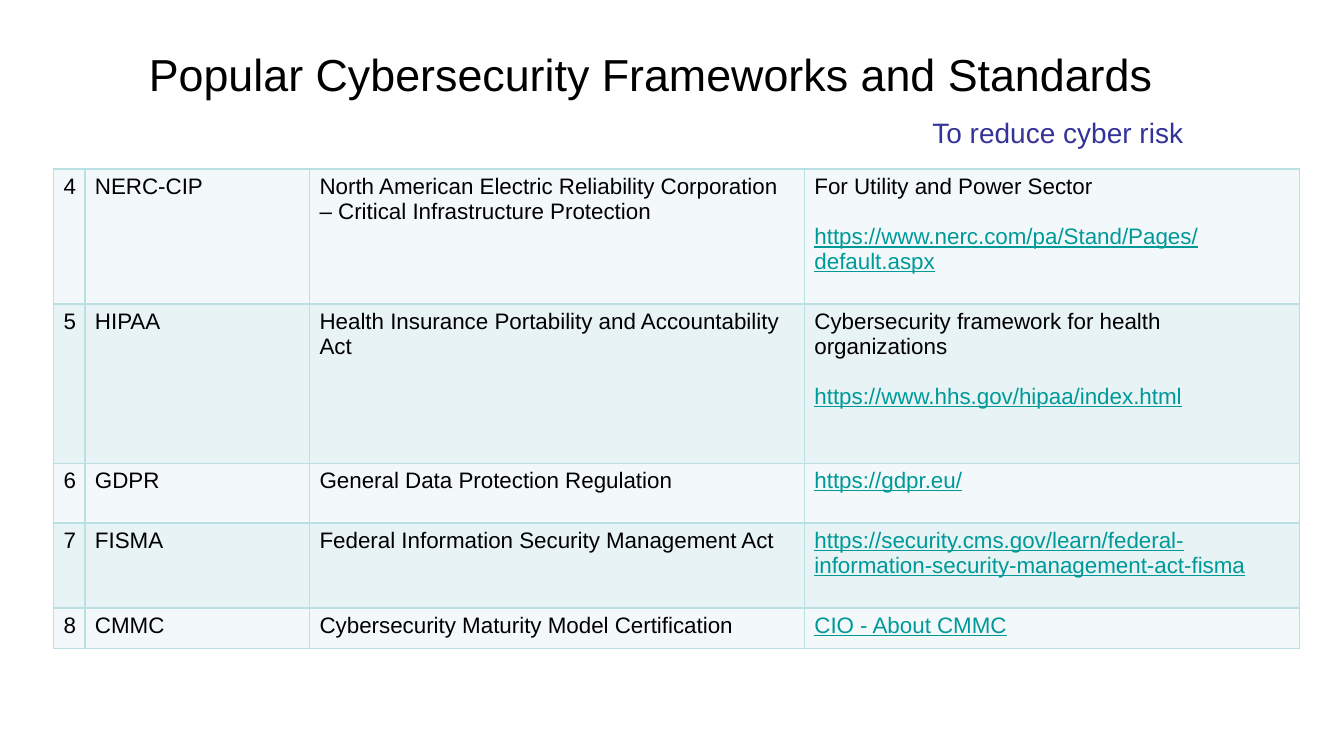
from lxml.etree import SubElement
from pptx import Presentation
from pptx.dml.color import RGBColor
from pptx.enum.text import MSO_ANCHOR, PP_ALIGN
from pptx.oxml.ns import qn
from pptx.util import Cm, Pt

BLACK, BLUE, LINK, BORDER = "000000", "333399", "009999", "BBE0E3"
BANDS = ["F3F9FA", "E7F3F4"]
COL_WIDTHS = [0.79, 5.66, 12.47, 12.47]
ROW_HEIGHTS = [3.4, 4.01, 1.51, 2.14, 1.03]

# number, short name, full name, note, link
FRAMEWORKS = [
    ("4", "NERC-CIP",
     "North American Electric Reliability Corporation – Critical Infrastructure Protection",
     "For Utility and Power Sector", "https://www.nerc.com/pa/Stand/Pages/default.aspx"),
    ("5", "HIPAA", "Health Insurance Portability and Accountability Act",
     "Cybersecurity framework for health organizations",
     "https://www.hhs.gov/hipaa/index.html"),
    ("6", "GDPR", "General Data Protection Regulation", "", "https://gdpr.eu/"),
    ("7", "FISMA", "Federal Information Security Management Act", "",
     "https://security.cms.gov/learn/federal-information-security-management-act-fisma"),
    ("8", "CMMC", "Cybersecurity Maturity Model Certification", "", "CIO - About CMMC"),
]


def rgb(color):
    return RGBColor.from_string(color)


def add_text(p, text, size=16, color=BLACK, underline=False):
    r = p.add_run()
    r.text = text
    r.font.color.rgb = rgb(color)
    style = {"name": "Arial", "size": Pt(size), "underline": underline}
    for name, value in style.items():
        setattr(r.font, name, value)


prs = Presentation()
prs.slide_width, prs.slide_height = Cm(33.87), Cm(19.05)
s = prs.slides.add_slide(prs.slide_layouts[6])

# Title and subtitle
headings = [
    ("Popular Cybersecurity Frameworks and Standards", 32, BLACK, 1.41, 1.2, 30, 1.3),
    ("To reduce cyber risk", 20, BLUE, 23.16, 2.92, 7, 0.82),
]
for text, size, color, *box in headings:
    tf = s.shapes.add_textbox(*map(Cm, box)).text_frame
    frame = {"word_wrap": True, "vertical_anchor": MSO_ANCHOR.MIDDLE, "margin_left": 0,
             "margin_right": 0, "margin_top": 0, "margin_bottom": 0}
    for name, value in frame.items():
        setattr(tf, name, value)
    p = tf.paragraphs[0]
    p.alignment = PP_ALIGN.CENTER
    add_text(p, text, size, color)

# Table of frameworks
table = s.shapes.add_table(len(FRAMEWORKS), len(COL_WIDTHS), Cm(1.35), Cm(4.26),
                           Cm(sum(COL_WIDTHS)), Cm(sum(ROW_HEIGHTS))).table
table.first_row = table.horz_banding = False
for column, width in zip(table.columns, COL_WIDTHS):
    column.width = Cm(width)

for i, (*labels, note, link) in enumerate(FRAMEWORKS):
    table.rows[i].height = Cm(ROW_HEIGHTS[i])
    for j, label in enumerate(labels):
        add_text(table.cell(i, j).text_frame.paragraphs[0], label)

    tf = table.cell(i, 3).text_frame
    p = tf.paragraphs[0]
    if note:
        add_text(p, note)
        p = tf.add_paragraph()
        p.space_before = Pt(18)
    add_text(p, link, color=LINK, underline=True)

    for cell in table.rows[i].cells:
        tcPr = cell._tc.get_or_add_tcPr()
        for side in ("a:lnL", "a:lnR", "a:lnT", "a:lnB"):
            line = SubElement(tcPr, qn(side), w=str(Pt(1)))
            SubElement(SubElement(line, qn("a:solidFill")), qn("a:srgbClr"), val=BORDER)
        cell.fill.solid()
        cell.fill.fore_color.rgb = rgb(BANDS[i % 2])

prs.save("out.pptx")
